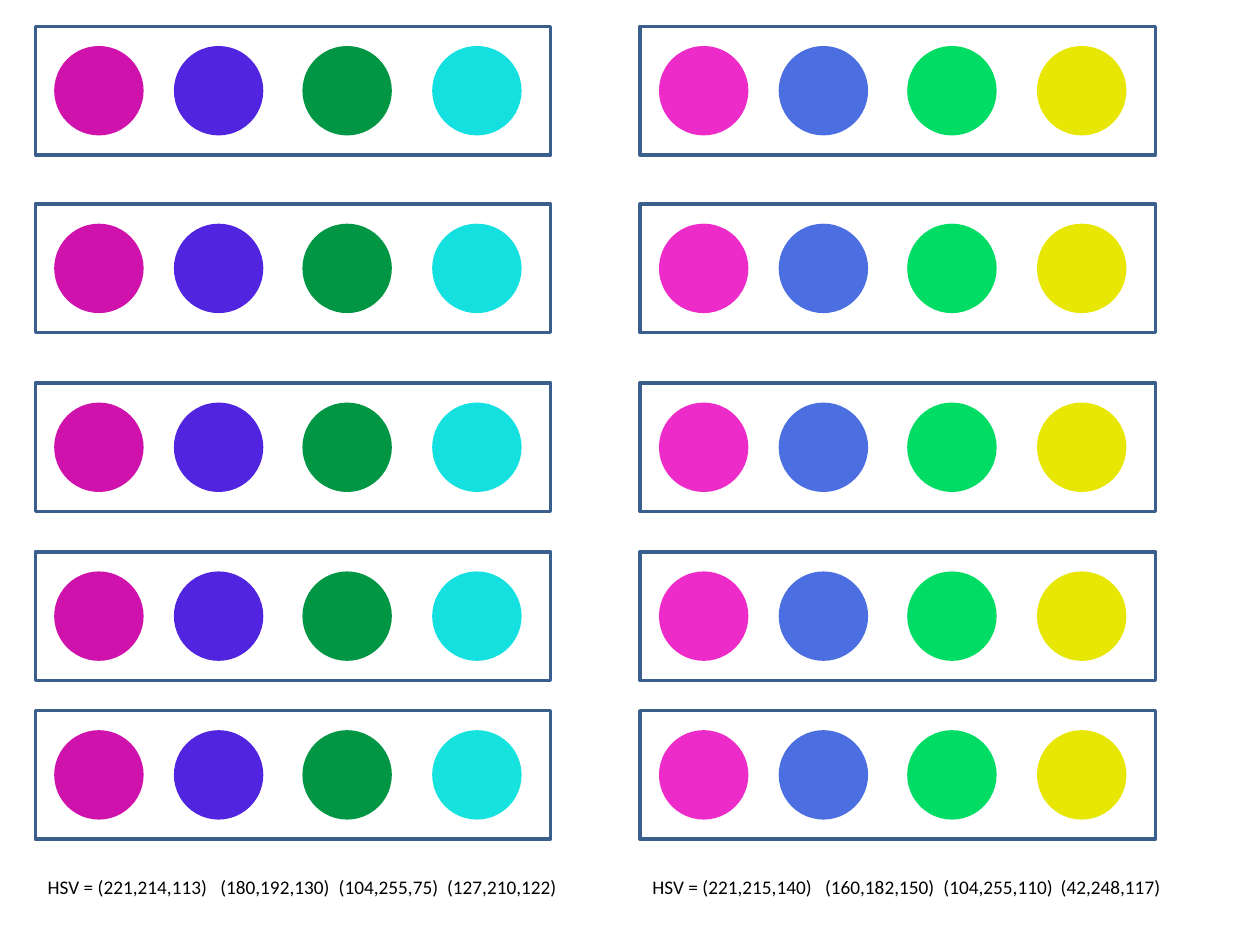
from lxml import etree
from pptx import Presentation
from pptx.dml.color import RGBColor
from pptx.enum import shapes, text
from pptx.oxml import ns
from pptx.util import Inches, Pt

FRAME_BLUE = RGBColor(0x3A, 0x5F, 0x8C)
BLACK = RGBColor(0, 0, 0)
MAGENTA = RGBColor(0xD0, 0x12, 0xAC)
VIOLET = RGBColor(0x51, 0x24, 0xE0)
GREEN = RGBColor(0x00, 0x96, 0x44)
CYAN = RGBColor(0x14, 0xE0, 0xE0)
LIGHT_CYAN = RGBColor(0x16, 0xE3, 0xDE)
PINK = RGBColor(0xED, 0x2B, 0xC8)
BLUE = RGBColor(0x4B, 0x6F, 0xE1)
BRIGHT_GREEN = RGBColor(0x00, 0xDC, 0x64)
YELLOW = RGBColor(0xE7, 0xE7, 0x03)

ROW_TOPS = (0.21, 1.62, 3.04, 4.38, 5.64)
DOT_OFFSETS = (0.15, 1.1, 2.12, 3.15)
LABEL_TOP = 6.9

DARK_ROW = (MAGENTA, VIOLET, GREEN, CYAN)
LAST_DARK_ROW = (MAGENTA, VIOLET, GREEN, LIGHT_CYAN)
BRIGHT_ROW = (PINK, BLUE, BRIGHT_GREEN, YELLOW)

PALETTES = (
    (0.28, [DARK_ROW] * 4 + [LAST_DARK_ROW], 4.38, (1.37, 2.31, 3.17),
     ("HSV = (221,214,113)", "(180,192,130)", "(104,255,75)", "(127,210,122)")),
    (5.08, [BRIGHT_ROW] * 5, 4.3, (1.37, 2.31, 3.24),
     ("HSV = (221,215,140)", "(160,182,150)", "(104,255,110)", "(42,248,117)")),
)


def add_swatch_row(slide, left, top, colours):
    row = slide.shapes.add_group_shape()
    frame = row.shapes.add_shape(
        shapes.MSO_SHAPE.RECTANGLE,
        Inches(left), Inches(top), Inches(4.09), Inches(1.02))
    frame.shadow.inherit = False
    frame.fill.background()
    frame.line.color.rgb = FRAME_BLUE
    frame.line.width = Pt(2)
    for offset, colour in zip(DOT_OFFSETS, colours):
        dot = row.shapes.add_shape(
            shapes.MSO_SHAPE.OVAL,
            Inches(left + offset), Inches(top + 0.155), Inches(0.71), Inches(0.71))
        dot.shadow.inherit = False
        dot.fill.solid()
        dot.fill.fore_color.rgb = colour
        dot.line.fill.background()


def add_hsv_label(slide, left, top, width, stops, values):
    label = slide.shapes.add_textbox(
        Inches(left), Inches(top), Inches(width), Inches(0.29))
    frame = label.text_frame
    frame.word_wrap = True
    frame.auto_size = text.MSO_AUTO_SIZE.SHAPE_TO_FIT_TEXT
    line = frame.paragraphs[0]
    run = line.add_run()
    run.text = "\t".join(values)
    run.font.name = "Calibri"
    run.font.size = Pt(11)
    run.font.color.rgb = BLACK
    tabs = etree.SubElement(line._p.get_or_add_pPr(), ns.qn("a:tabLst"))
    for stop in stops:
        etree.SubElement(tabs, ns.qn("a:tab"), pos=str(Inches(stop)), algn="l")


def add_palette(slide, left, rows, label_width, stops, values):
    for top, colours in zip(ROW_TOPS, rows):
        add_swatch_row(slide, left, top, colours)
    add_hsv_label(slide, left, LABEL_TOP, label_width, stops, values)


deck = Presentation()
deck.slide_width = Inches(10)
deck.slide_height = Inches(7.5)
slide = deck.slides.add_slide(deck.slide_layouts[6])
for palette in PALETTES:
    add_palette(slide, *palette)
deck.save("out.pptx")
